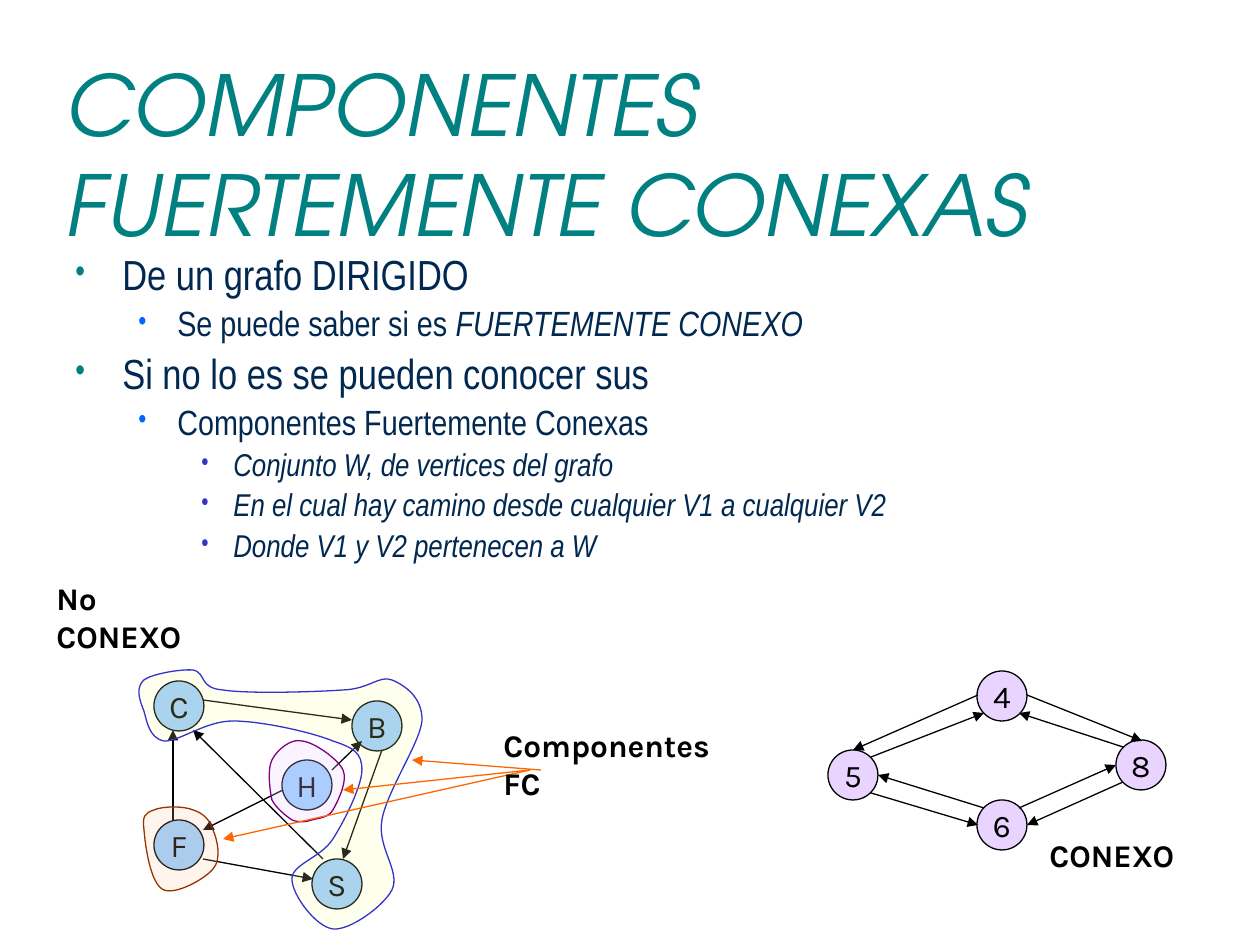
import lxml.etree
import pptx
import pptx.dml.color
import pptx.enum.shapes
import pptx.enum.text
import pptx.oxml.ns
import pptx.util

PX = pptx.util.Inches(1) / 126
COLORS = {
    "title": "008080", "body": "002850", "black": "000000",
    "bullet0": "008080", "bullet1": "0066FF", "bullet2": "3333CC",
    "lilac": "E9D3FF", "sky": "99CCFF", "yellow": "FFFF99", "peach": "FFCC99",
    "blue": "3333CC", "purple": "800080", "brown": "993300", "orange": "FF6600",
}
NODE = 50
# Per level: text size, left margin, hanging indent
LEVELS = [(24, 47, -47), (20, 102, -39), (18, 158, -32)]

# Level, then (text, italic) spans
BODY = [
    (0, [("De un grafo DIRIGIDO", False)]),
    (1, [("Se puede saber si es ", False), ("FUERTEMENTE CONEXO", True)]),
    (0, [("Si no lo es se pueden conocer sus", False)]),
    (1, [("Componentes Fuertemente Conexas", False)]),
    (2, [("Conjunto W, de vertices del grafo", True)]),
    (2, [("En el cual hay camino desde cualquier V1 a cualquier V2", True)]),
    (2, [("Donde V1 y V2 pertenecen a W", True)]),
]

# Node centres and arrow ends
CONNECTED_NODES = {"4": (1002, 696), "5": (853, 775), "6": (1002, 825), "8": (1141, 765)}
CONNECTED_ARROWS = [
    (978, 695, 853, 750), (871, 793, 978, 825), (1123, 782, 1027, 825), (1027, 695, 1142, 741),
    (871, 757, 984, 713), (1123, 747, 1019, 713), (984, 808, 878, 775), (1019, 808, 1116, 765),
]
SPLIT_NODES = {"C": (179, 706), "F": (179, 845), "H": (307, 785), "B": (377, 726), "S": (337, 884)}
SPLIT_ARROWS = [
    (203, 859, 313, 879), (203, 700, 352, 720), (323, 859, 193, 730), (382, 750, 343, 859),
    (173, 820, 173, 730), (283, 790, 203, 830), (332, 770, 362, 741),
]
COMPONENT_ARROWS = [(541, 770, 412, 760), (530, 770, 343, 790), (530, 770, 223, 839)]

# Fill, opacity, line, bounds, start point, cubic curves (two controls and an end)
COMPONENTS = [
    ("yellow", 17, "blue", (135, 669, 287, 261), (144, 711), [
        (147, 721, 149, 738, 164, 741), (179, 742, 205, 721, 233, 721),
        (261, 721, 311, 732, 333, 741), (354, 748, 362, 753, 362, 770),
        (362, 786, 344, 822, 333, 839), (321, 858, 292, 864, 292, 879),
        (292, 895, 316, 927, 333, 929), (349, 931, 383, 907, 392, 890),
        (401, 871, 377, 848, 382, 820), (387, 791, 420, 743, 422, 721),
        (423, 697, 404, 685, 392, 680), (379, 675, 370, 689, 343, 690),
        (314, 692, 248, 694, 223, 690), (198, 688, 207, 673, 193, 670),
        (180, 669, 152, 674, 144, 680), (135, 688, 140, 701, 144, 711)]),
    ("lilac", 24, "purple", (267, 738, 79, 84), (272, 760), [
        (277, 750, 291, 738, 302, 741), (314, 742, 338, 759, 343, 770),
        (348, 781, 338, 801, 333, 810), (328, 818, 319, 818, 312, 820),
        (306, 822, 300, 823, 292, 820), (286, 816, 276, 808, 272, 800),
        (270, 791, 267, 770, 272, 760)]),
    ("peach", 18, "brown", (142, 806, 79, 88), (144, 830), [
        (142, 816, 145, 813, 154, 810), (163, 806, 184, 806, 193, 810),
        (203, 813, 210, 820, 213, 830), (217, 839, 222, 859, 213, 869),
        (205, 879, 176, 895, 164, 890), (150, 885, 145, 843, 144, 830)]),
]


def emu(*lengths):
    return [round(length * PX) for length in lengths]


def rgb(name):
    return pptx.dml.color.RGBColor.from_string(COLORS[name])


def add_xml(parent, tag, **attributes):
    return lxml.etree.SubElement(parent, pptx.oxml.ns.qn(tag), attributes)


class Sketch:
    title_font, body_font, label_font = "TeX Gyre Adventor", "Arial Narrow", "Karla"
    line_width = pptx.util.Pt(0.75)

    def __init__(self, page):
        self.page = page

    def set_font(self, para, name, size, color, bold=None, italic=None):
        font = para.font
        font.name, font.size, font.bold, font.italic = name, pptx.util.Pt(size), bold, italic
        font.color.rgb = rgb(color)

    def style(self, shape, fill, line):
        shape.shadow.inherit = False
        shape.fill.solid()
        shape.fill.fore_color.rgb = rgb(fill)
        shape.line.color.rgb = rgb(line)
        shape.line.width = self.line_width

    def title(self, text, *place):
        box = self.page.shapes.title
        box.left, box.top, box.width, box.height = emu(*place)
        frame = box.text_frame
        frame.text = text
        frame.word_wrap = True
        frame.auto_size = pptx.enum.text.MSO_AUTO_SIZE.NONE
        frame.vertical_anchor = pptx.enum.text.MSO_ANCHOR.MIDDLE
        para = frame.paragraphs[0]
        para.alignment = pptx.enum.text.PP_ALIGN.LEFT
        self.set_font(para, self.title_font, 48, "title", italic=True)

    def text_box(self, *place):
        frame = self.page.shapes.add_textbox(*emu(*place)).text_frame
        frame.word_wrap = True
        return frame

    def bullets(self, items, *place):
        frame = self.text_box(*place)
        for index, (level, spans) in enumerate(items):
            para = frame.add_paragraph() if index else frame.paragraphs[0]
            size, margin, indent = LEVELS[level]
            para.level = level
            para.line_spacing = 0.9
            props = para._p.get_or_add_pPr()
            props.set("marL", str(emu(margin)[0]))
            props.set("indent", str(emu(indent)[0]))
            add_xml(add_xml(props, "a:spcBef"), "a:spcPct", val="20000")
            add_xml(add_xml(props, "a:buClr"), "a:srgbClr", val=COLORS[f"bullet{level}"])
            add_xml(props, "a:buSzPct", val="80000")
            add_xml(props, "a:buFont", typeface=self.body_font)
            add_xml(props, "a:buChar", char="•")
            self.set_font(para, self.body_font, size, "body")
            for text, italic in spans:
                span = para.add_run()
                span.text = text
                span.font.italic = italic

    def label(self, text, *place):
        para = self.text_box(*place).paragraphs[0]
        para.text = text
        self.set_font(para, self.label_font, 18, "black", bold=True)

    def node(self, text, x, y, fill):
        oval = self.page.shapes.add_shape(
            pptx.enum.shapes.MSO_SHAPE.OVAL, *emu(x - NODE / 2, y - NODE / 2, NODE, NODE))
        self.style(oval, fill, "black")
        frame = oval.text_frame
        frame.word_wrap = False
        frame.vertical_anchor = pptx.enum.text.MSO_ANCHOR.MIDDLE
        para = frame.paragraphs[0]
        para.text = text
        para.alignment = pptx.enum.text.PP_ALIGN.CENTER
        self.set_font(para, self.label_font, 18, "black")

    def arrow(self, ends, color="black"):
        line = self.page.shapes.add_connector(
            pptx.enum.shapes.MSO_CONNECTOR.STRAIGHT, *emu(*ends))
        line.line.color.rgb = rgb(color)
        line.line.width = self.line_width
        add_xml(line.line._get_or_add_ln(), "a:tailEnd", type="triangle")
        add_xml(line._element.spPr, "a:effectLst")

    def graph(self, nodes, arrows, fill):
        for text, (x, y) in nodes.items():
            self.node(text, x, y, fill)
        for ends in arrows:
            self.arrow(ends)

    def component(self, fill, opacity, line, bounds, start, curves):
        """Translucent region: a freeform spanning bounds, outlined by cubic curves."""
        left, top, width, height = bounds
        builder = self.page.shapes.build_freeform(left, top, scale=PX)
        builder.add_line_segments([(left + width, top + height)], close=True)
        region = builder.convert_to_shape()
        props = region._element.spPr
        outline = props.find(".//" + pptx.oxml.ns.qn("a:path"))
        for segment in list(outline):
            outline.remove(segment)
        for tag, values in [("a:moveTo", start)] + [("a:cubicBezTo", curve) for curve in curves]:
            segment = add_xml(outline, tag)
            for x, y in zip(values[::2], values[1::2]):
                add_xml(segment, "a:pt", x=str(x - left), y=str(y - top))
        add_xml(outline, "a:close")
        self.style(region, fill, line)
        color = props.find(".//" + pptx.oxml.ns.qn("a:srgbClr"))
        add_xml(color, "a:alpha", val=str(opacity * 1000))


def main():
    deck = pptx.Presentation()
    deck.slide_width, deck.slide_height = emu(1260, 945)
    sketch = Sketch(deck.slides.add_slide(deck.slide_layouts[5]))
    sketch.title("COMPONENTES FUERTEMENTE CONEXAS", 53, 74, 1134, 158)
    sketch.bullets(BODY, 63, 248, 1134, 624)
    sketch.graph(CONNECTED_NODES, CONNECTED_ARROWS, "lilac")
    sketch.label("No CONEXO", 44, 573, 179, 88)
    sketch.label("CONEXO", 1037, 830, 179, 50)
    sketch.graph(SPLIT_NODES, SPLIT_ARROWS, "sky")
    for component in COMPONENTS:
        sketch.component(*component)
    for ends in COMPONENT_ARROWS:
        sketch.arrow(ends, "orange")
    sketch.label("Componentes FC", 491, 720, 258, 89)
    deck.save("out.pptx")


if __name__ == "__main__":
    main()
